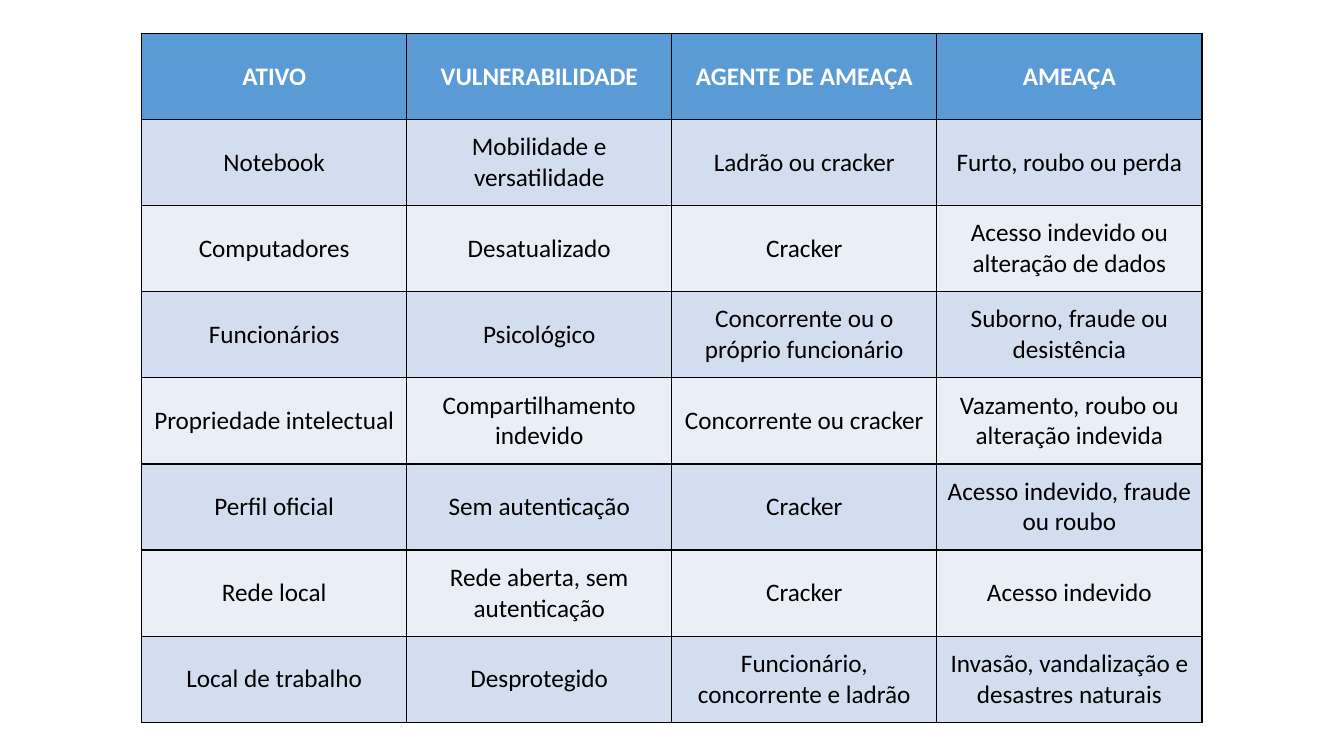
from lxml import etree
from pptx import Presentation
from pptx.dml.color import RGBColor
from pptx.enum import text
from pptx.oxml import ns
from pptx.util import Cm, Pt

HEADERS = ["ATIVO", "VULNERABILIDADE", "AGENTE DE AMEAÇA", "AMEAÇA"]
RISKS = [
    ("Notebook", "Mobilidade e versatilidade", "Ladrão ou cracker", "Furto, roubo ou perda"),
    ("Computadores", "Desatualizado", "Cracker", "Acesso indevido ou alteração de dados"),
    ("Funcionários", "Psicológico", "Concorrente ou o próprio funcionário",
     "Suborno, fraude ou desistência"),
    ("Propriedade intelectual", "Compartilhamento indevido", "Concorrente ou cracker",
     "Vazamento, roubo ou alteração indevida"),
    ("Perfil oficial", "Sem autenticação", "Cracker", "Acesso indevido, fraude ou roubo"),
    ("Rede local", "Rede aberta, sem autenticação", "Cracker", "Acesso indevido"),
    ("Local de trabalho", "Desprotegido", "Funcionário, concorrente e ladrão",
     "Invasão, vandalização e desastres naturais"),
]
COLORS = {
    "header": "5B9BD5",
    "odd_row": "D2DEEF",
    "even_row": "EAEFF7",
    "header_text": "FFFFFF",
    "body_text": "000000",
    "border": "000000",
}
FONT, FONT_SIZE = "Calibri", Pt(18)
LEFT, TOP = Cm(3.57), Cm(0.84)
COLUMN_WIDTH, ROW_HEIGHT = Cm(6.68), Cm(2.17)
CELL_MARGIN = Cm(0.13)
BORDER_WIDTH = Pt(1)


def color(name):
    return RGBColor.from_string(COLORS[name])


def add_borders(cell):
    """Draw all four sides; must run before the fill, which follows them in the XML."""
    properties = cell._tc.get_or_add_tcPr()
    for side in ("a:lnL", "a:lnR", "a:lnT", "a:lnB"):
        line = etree.SubElement(properties, ns.qn(side), w=str(BORDER_WIDTH))
        fill = etree.SubElement(line, ns.qn("a:solidFill"))
        etree.SubElement(fill, ns.qn("a:srgbClr"), val=COLORS["border"])


def format_cell(cell, content, fill_name, is_header):
    add_borders(cell)
    cell.fill.solid()
    cell.fill.fore_color.rgb = color(fill_name)
    cell.vertical_anchor = text.MSO_ANCHOR.MIDDLE
    cell.margin_left = cell.margin_right = CELL_MARGIN
    cell.margin_top = cell.margin_bottom = CELL_MARGIN
    cell.text_frame.text = content
    paragraph = cell.text_frame.paragraphs[0]
    paragraph.alignment = text.PP_ALIGN.CENTER
    font = paragraph.runs[0].font
    font.name, font.size, font.bold = FONT, FONT_SIZE, is_header
    font.color.rgb = color("header_text" if is_header else "body_text")


def add_risk_table(slide):
    rows = [HEADERS, *RISKS]
    table = slide.shapes.add_table(
        len(rows), len(HEADERS), LEFT, TOP,
        COLUMN_WIDTH * len(HEADERS), ROW_HEIGHT * len(rows)).table
    for column in table.columns:
        column.width = COLUMN_WIDTH
    for row_index, contents in enumerate(rows):
        table.rows[row_index].height = ROW_HEIGHT
        is_header = row_index == 0
        fill_name = "header" if is_header else "odd_row" if row_index % 2 else "even_row"
        for column_index, content in enumerate(contents):
            format_cell(table.cell(row_index, column_index), content, fill_name, is_header)


def main():
    presentation = Presentation()
    presentation.slide_width, presentation.slide_height = Cm(33.87), Cm(19.05)
    blank_layout = presentation.slide_layouts[6]
    add_risk_table(presentation.slides.add_slide(blank_layout))
    presentation.save("out.pptx")


if __name__ == "__main__":
    main()
